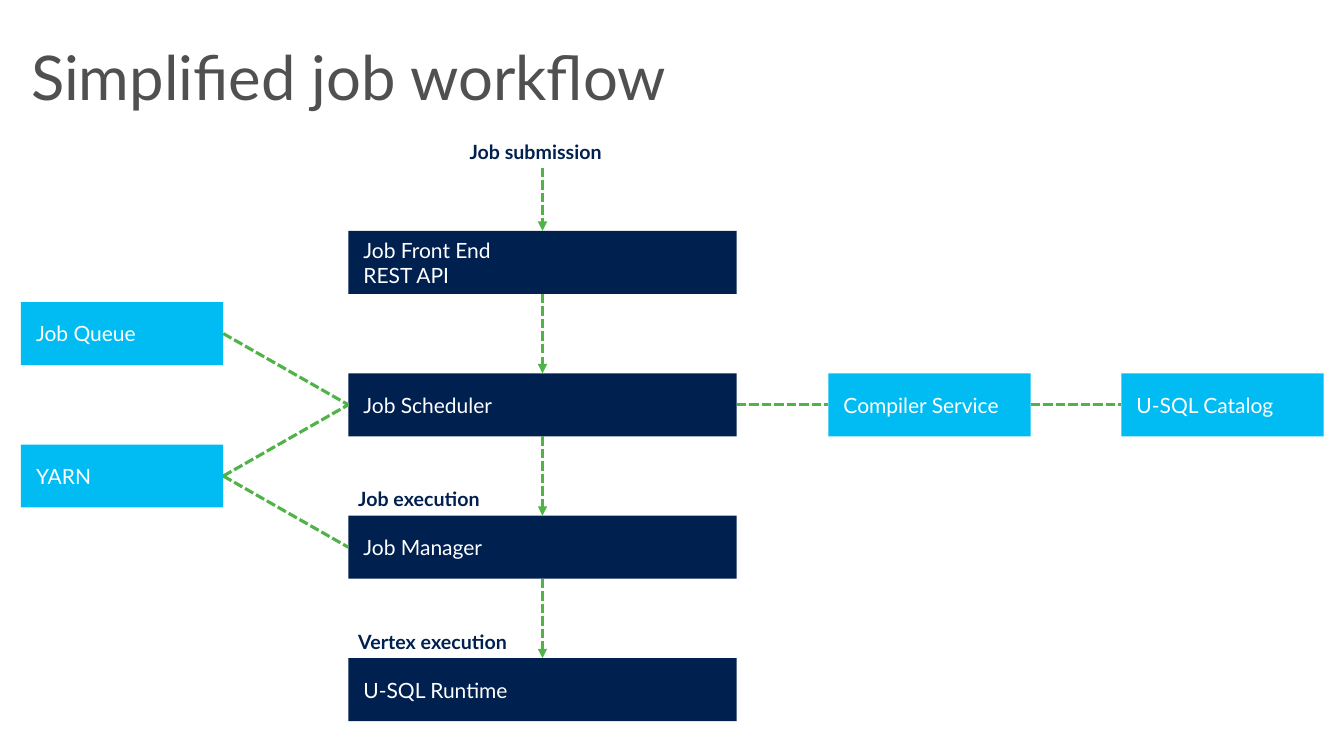
from lxml.etree import SubElement
from pptx import Presentation
from pptx.dml.color import RGBColor
from pptx.enum.dml import MSO_LINE_DASH_STYLE as Dash
from pptx.enum.shapes import MSO_CONNECTOR as Connector, MSO_SHAPE as Shape
from pptx.enum.text import MSO_ANCHOR as Anchor, MSO_AUTO_SIZE as AutoSize, PP_ALIGN as Align
from pptx.oxml.ns import qn
from pptx.util import Pt

COLORS = {"title": "505050", "stage": "002050", "service": "00BCF2",
          "line": "50B347", "text": "FFFFFF"}
FONT = "Lato"
TOP, LEFT, BOTTOM, RIGHT = range(4)
ROW_PITCH = 101.75
BOX_HEIGHT = 45
SERVICE_WIDTH = 144.5


def color(name):
    """Return the named palette colour."""
    return RGBColor.from_string(COLORS[name])


def write(frame, lines, size, color_name, bold=False):
    """Write left-aligned lines, vertically centred, into a text frame."""
    frame.word_wrap = True
    frame.vertical_anchor = Anchor.MIDDLE
    for index, line in enumerate(lines):
        paragraph = frame.add_paragraph() if index else frame.paragraphs[0]
        paragraph.alignment = Align.LEFT
        run = paragraph.add_run()
        run.text = line
        run.font.name = FONT
        run.font.size = Pt(size)
        run.font.bold = bold
        run.font.color.rgb = color(color_name)


def add_box(slide, left, top, width, lines, fill):
    """Add one filled workflow box."""
    shape = slide.shapes.add_shape(
        Shape.RECTANGLE, Pt(left), Pt(top), Pt(width), Pt(BOX_HEIGHT))
    shape.shadow.inherit = False
    shape.fill.solid()
    shape.fill.fore_color.rgb = color(fill)
    shape.line.fill.background()
    shape.text_frame.margin_left = Pt(10.8)
    write(shape.text_frame, lines, 15, "text")
    return shape


def add_label(slide, left, top, width, text):
    """Add a bold phase label."""
    label = slide.shapes.add_textbox(Pt(left), Pt(top), Pt(width), Pt(24.2))
    write(label.text_frame, [text], 14, "stage", bold=True)
    label.text_frame.auto_size = AutoSize.SHAPE_TO_FIT_TEXT


def add_link(slide, start, end, arrow=False):
    """Add a dashed connector between two points in points."""
    connector = slide.shapes.add_connector(
        Connector.STRAIGHT, *[Pt(value) for value in (*start, *end)])
    connector.line.color.rgb = color("line")
    connector.line.width = Pt(2.25)
    connector.line.dash_style = Dash.SQUARE_DOT
    if arrow:
        SubElement(connector.line._get_or_add_ln(), qn("a:tailEnd"), type="triangle")
    SubElement(connector._element.spPr, qn("a:effectLst"))
    return connector


def join(slide, source, source_side, target, target_side, arrow=False):
    """Link the side middles of two boxes."""
    connector = add_link(slide, (0, 0), (0, 0), arrow)
    connector.begin_connect(source, source_side)
    connector.end_connect(target, target_side)


def add_title(slide, left, top, width, height):
    """Place and format the slide title."""
    title = slide.shapes.title
    title.left, title.top, title.width, title.height = map(Pt, (left, top, width, height))
    write(title.text_frame, ["Simplified job workflow"], 44, "title")
    title.text_frame.auto_size = AutoSize.NONE
    title.text_frame.paragraphs[0].line_spacing = 0.9


def add_stages(slide, left, top, width):
    """Build the central column of stages with its arrows and labels."""
    stages = [add_box(slide, left, top + row * ROW_PITCH, width, lines, "stage")
              for row, lines in enumerate((
                  ["Job Front End", "REST API"], ["Job Scheduler"],
                  ["Job Manager"], ["U-SQL Runtime"]))]
    center = left + width / 2
    entry = add_link(slide, (center, top - BOX_HEIGHT), (center, top), arrow=True)
    entry.end_connect(stages[0], TOP)
    for upper, lower in zip(stages, stages[1:]):
        join(slide, upper, BOTTOM, lower, TOP, arrow=True)
    add_label(slide, left + 79.5, top - 69, 117.4, "Job submission")
    for row, text in ((2, "Job execution"), (3, "Vertex execution")):
        add_label(slide, left, top + row * ROW_PITCH - 24.2, 122.4, text)
    return stages


def add_resources(slide, left, top, scheduler, manager):
    """Build the left column of resources and link it to the stages."""
    queue, yarn = [
        add_box(slide, left, top + row * ROW_PITCH, SERVICE_WIDTH, [text], "service")
        for row, text in enumerate(("Job Queue", "YARN"))]
    for resource, stage in ((queue, scheduler), (yarn, scheduler), (yarn, manager)):
        join(slide, resource, RIGHT, stage, LEFT)


def add_compilation(slide, left, top, scheduler):
    """Build the row of compilation services to the right of the scheduler."""
    previous = scheduler
    for column, text in enumerate(("Compiler Service", "U-SQL Catalog")):
        service = add_box(slide, left + column * 209.3, top, SERVICE_WIDTH,
                          [text], "service")
        join(slide, previous, RIGHT, service, LEFT)
        previous = service


def main():
    """Build and save the workflow slide."""
    presentation = Presentation()
    presentation.slide_width, presentation.slide_height = Pt(960), Pt(540)
    slide = presentation.slides.add_slide(presentation.slide_layouts[5])
    add_title(slide, 15, 24, 930, 67.5)
    top = 164.9
    _, scheduler, manager, _ = add_stages(slide, 248.8, top, 277.4)
    add_resources(slide, 15, top + ROW_PITCH / 2, scheduler, manager)
    add_compilation(slide, 591.7, top + ROW_PITCH, scheduler)
    presentation.save("out.pptx")


if __name__ == "__main__":
    main()
